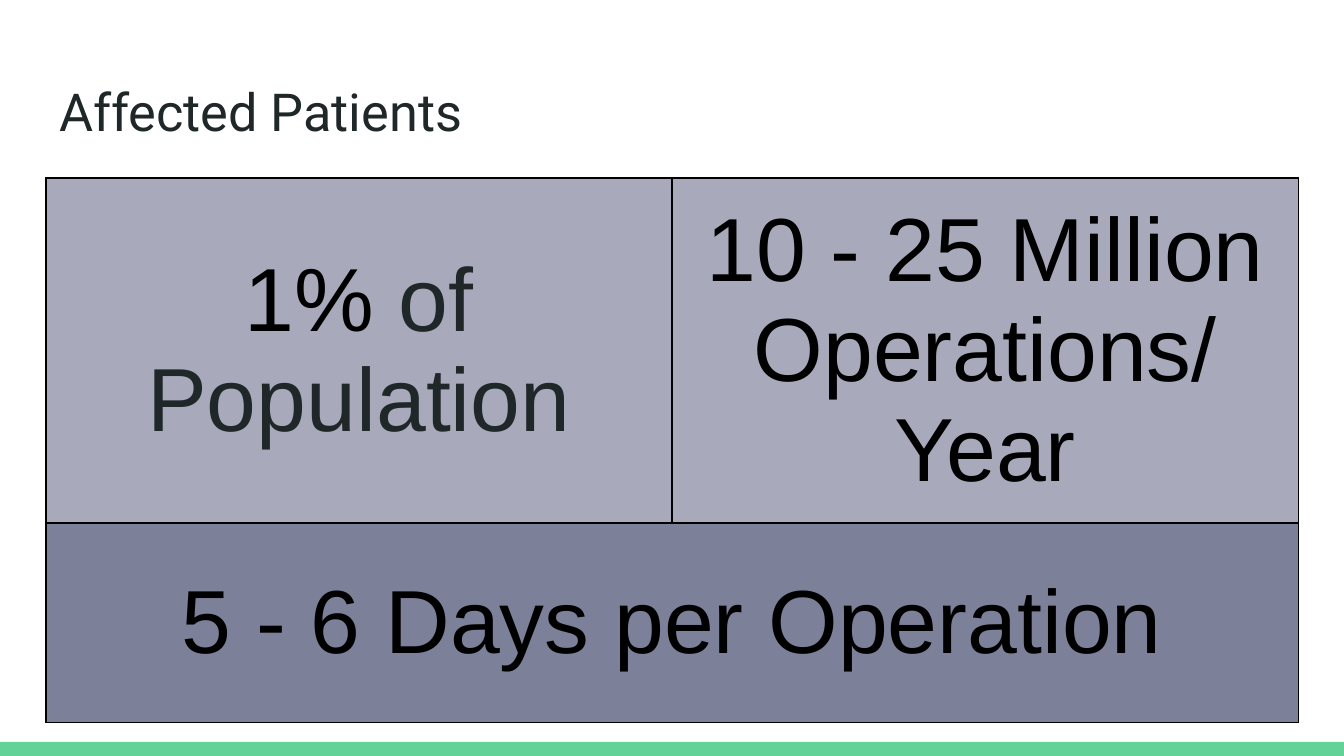
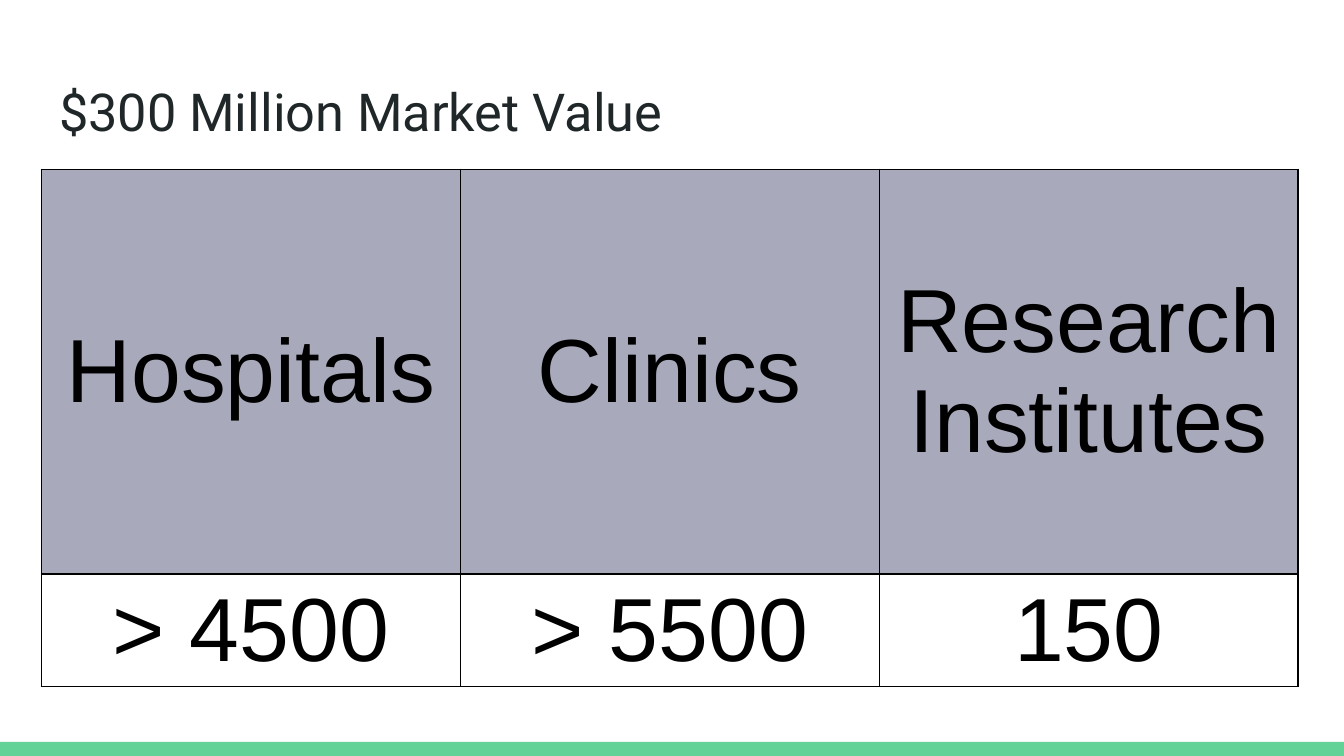
from dataclasses import dataclass

from lxml import etree
from pptx import Presentation
from pptx.dml.color import RGBColor
from pptx.enum.shapes import MSO_SHAPE
from pptx.enum.text import MSO_ANCHOR, PP_ALIGN
from pptx.oxml.ns import qn
from pptx.util import Inches, Pt

RECTANGLE = MSO_SHAPE.RECTANGLE
MIDDLE = MSO_ANCHOR.MIDDLE
CENTER = PP_ALIGN.CENTER

SLIDE_WIDTH = Inches(10)
SLIDE_HEIGHT = SLIDE_WIDTH * 9 // 16
GRID_COLUMNS, GRID_ROWS = 100, 56.25
BLANK_LAYOUT = 6
BORDER_WIDTH = Pt(1)
BORDER_SIDES = ("a:lnL", "a:lnR", "a:lnT", "a:lnB")

COLORS = {
    "background": "FFFFFF",
    "footer": "63D297",
    "ink": "202729",
    "figure": "000000",
    "light": "A8AABB",
    "dark": "7C8099",
}
TITLE_FORMAT = {"name": "Roboto", "size": Pt(28)}
FIGURE_FORMAT = {"name": "Arial", "size": Pt(48)}
CELL_FORMAT = {
    "vertical_anchor": MIDDLE,
    "margin_top": Inches(0.02),
    "margin_bottom": Inches(0.02),
}


@dataclass(frozen=True)
class Area:
    left: float
    top: float
    width: float
    height: float

    def box(self) -> tuple[int, int, int, int]:
        return (across(self.left), down(self.top), across(self.width), down(self.height))


@dataclass(frozen=True)
class Phrase:
    text: str
    color: str = "figure"


@dataclass(frozen=True)
class Fact:
    phrases: tuple[Phrase, ...]
    fill: str | None = None
    span: int = 1


@dataclass(frozen=True)
class FactSheet:
    title: str
    area: Area
    row_heights: tuple[float, ...]
    facts: tuple[tuple[Fact, ...], ...]


def across(columns: float) -> int:
    return round(SLIDE_WIDTH * columns / GRID_COLUMNS)


def down(rows: float) -> int:
    return round(SLIDE_HEIGHT * rows / GRID_ROWS)


def fact(text: str, fill: str | None = None, span: int = 1) -> Fact:
    return Fact((Phrase(text),), fill, span)


TITLE_AREA = Area(3.41, 4.9, 93.2, 6.3)
FOOTER_AREA = Area(0, 55.2, 100, 1.05)

FACT_SHEETS = (
    FactSheet(
        "Affected Patients",
        Area(3.41, 13.23, 93.2, 40.55),
        (25.68, 14.87),
        (
            (
                Fact((Phrase("1% "), Phrase("of Population", "ink")), "light"),
                fact("10 - 25 Million Operations/ Year", "light"),
            ),
            (fact("5 - 6 Days per Operation", "dark", span=2),),
        ),
    ),
    FactSheet(
        "$300 Million Market Value",
        Area(3.08, 12.6, 93.53, 38.2),
        (30.1, 8.1),
        (
            tuple(fact(name, "light") for name in ("Hospitals", "Clinics", "Research Institutes")),
            tuple(fact(count) for count in ("> 4500", "> 5500", "150")),
        ),
    ),
)


def rgb(color: str) -> RGBColor:
    return RGBColor.from_string(COLORS[color])


def apply_format(target, values: dict) -> None:
    for attribute, value in values.items():
        setattr(target, attribute, value)


def write(paragraph, phrase: Phrase, text_format: dict) -> None:
    run = paragraph.add_run()
    run.text = phrase.text
    apply_format(run.font, text_format)
    run.font.color.rgb = rgb(phrase.color)


def add_footer(slide) -> None:
    footer = slide.shapes.add_shape(RECTANGLE, *FOOTER_AREA.box())
    footer.shadow.inherit = False
    footer.fill.solid()
    footer.fill.fore_color.rgb = rgb("footer")
    footer.line.fill.background()


def add_title(slide, title: str) -> None:
    frame = slide.shapes.add_textbox(*TITLE_AREA.box()).text_frame
    frame.word_wrap = True
    for side in ("left", "top", "right", "bottom"):
        setattr(frame, f"margin_{side}", Inches(0.1))
    write(frame.paragraphs[0], Phrase(title, "ink"), TITLE_FORMAT)


def outline(cell) -> None:
    properties = cell._tc.get_or_add_tcPr()
    for position, side in enumerate(BORDER_SIDES):
        border = etree.Element(qn(side), w=str(BORDER_WIDTH))
        fill = etree.SubElement(border, qn("a:solidFill"))
        etree.SubElement(fill, qn("a:srgbClr"), val=COLORS["figure"])
        properties.insert(position, border)


def fill_cell(cell, content: Fact) -> None:
    if content.fill:
        cell.fill.solid()
        cell.fill.fore_color.rgb = rgb(content.fill)
    else:
        cell.fill.background()
    outline(cell)


def add_facts(slide, sheet: FactSheet) -> None:
    column_count = len(sheet.facts[0])
    table = slide.shapes.add_table(len(sheet.facts), column_count, *sheet.area.box()).table
    table.first_row = False
    table.horz_banding = False
    for column in table.columns:
        column.width = across(sheet.area.width / column_count)
    for row_index, (height, facts) in enumerate(zip(sheet.row_heights, sheet.facts)):
        table.rows[row_index].height = down(height)
        for column_index, content in enumerate(facts):
            cell = table.cell(row_index, column_index)
            last = column_index + content.span - 1
            if content.span > 1:
                cell.merge(table.cell(row_index, last))
            for covered in range(column_index, last + 1):
                fill_cell(table.cell(row_index, covered), content)
            apply_format(cell, CELL_FORMAT)
            paragraph = cell.text_frame.paragraphs[0]
            paragraph.alignment = CENTER
            for phrase in content.phrases:
                write(paragraph, phrase, FIGURE_FORMAT)


def main() -> None:
    deck = Presentation()
    deck.slide_width, deck.slide_height = SLIDE_WIDTH, SLIDE_HEIGHT
    for sheet in FACT_SHEETS:
        slide = deck.slides.add_slide(deck.slide_layouts[BLANK_LAYOUT])
        slide.background.fill.solid()
        slide.background.fill.fore_color.rgb = rgb("background")
        add_footer(slide)
        add_title(slide, sheet.title)
        add_facts(slide, sheet)
    deck.save("out.pptx")


if __name__ == "__main__":
    main()
